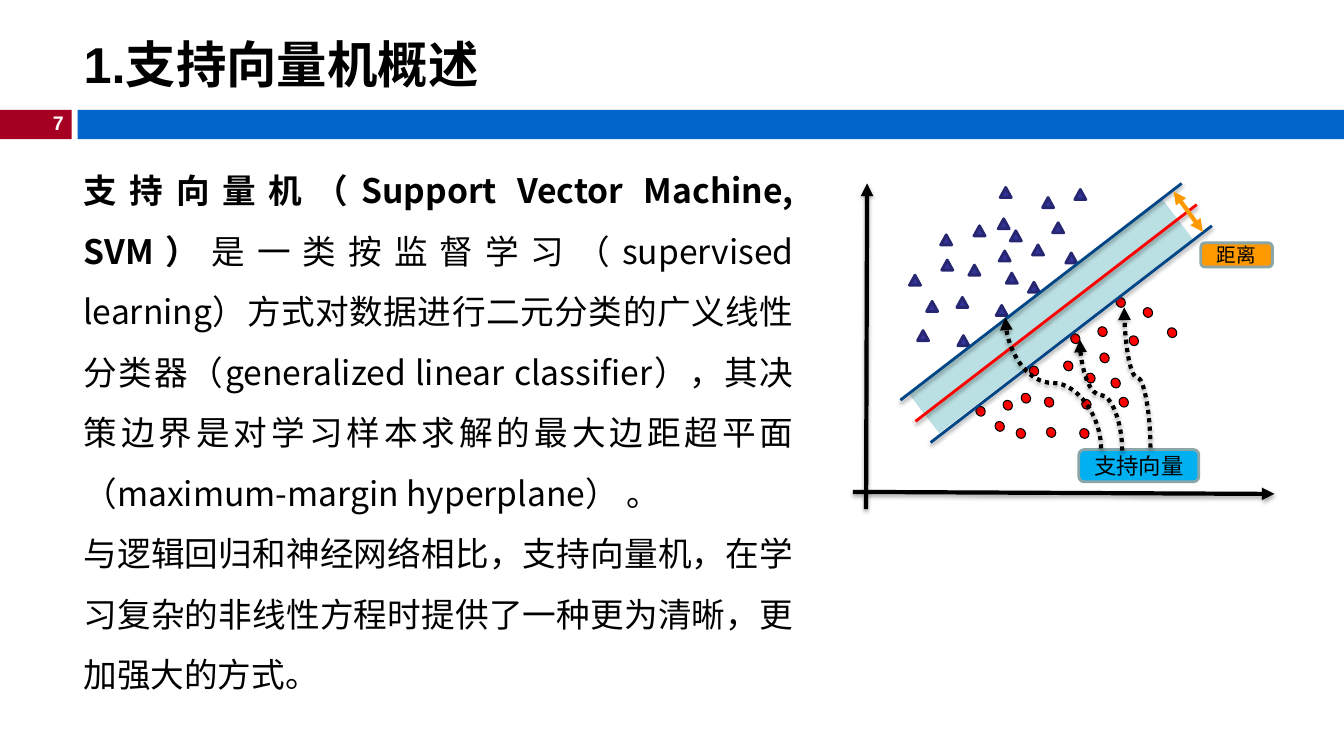
from lxml import etree
from pptx import Presentation
from pptx.dml.color import RGBColor
from pptx.enum import dml, shapes, text
from pptx.oxml import ns
from pptx.util import Inches, Pt

BLACK = RGBColor(0x00, 0x00, 0x00)
WHITE = RGBColor(0xFF, 0xFF, 0xFF)
CRIMSON = RGBColor(0xA5, 0x00, 0x21)
BLUE = RGBColor(0x00, 0x66, 0xCC)
SKY = RGBColor(0x00, 0xB0, 0xF0)
ORANGE = RGBColor(0xFF, 0x99, 0x00)
RED = RGBColor(0xFF, 0x00, 0x00)
PALE_TEAL = RGBColor(0xBB, 0xE0, 0xE3)
GREY_TEAL = RGBColor(0x8A, 0xA6, 0xA8)
INDIGO = RGBColor(0x33, 0x33, 0x99)
DARK_INDIGO = RGBColor(0x26, 0x26, 0x71)
NAVY = RGBColor(0x00, 0x45, 0x86)
LATIN_FONT, CHINESE_FONT = "Arial", "Noto Sans CJK SC"
SHAPE, LINK = shapes.MSO_SHAPE, shapes.MSO_CONNECTOR

DEFINITION = [
    ("支持向量机（Support Vector Machine, SVM）", True),
    ("是一类按监督学习（supervised learning）方式对数据进行二元分类的广义线性分类器"
     "（generalized linear classifier），其决策边界是对学习样本求解的最大边距超平面"
     "（maximum-margin hyperplane） 。", False),
]
ADVANTAGE = [("与逻辑回归和神经网络相比，支持向量机，在学习复杂的非线性方程时提供了一种更为清晰，"
              "更加强大的方式。", False)]

RED_POINTS = [
    (1.73, 2.1), (1.47, 2.38), (1.68, 2.45), (2.22, 1.51), (1.55, 2.17), (2.49, 1.44),
    (2.7, 2.14), (2.8, 1.53), (2.37, 1.9), (1.96, 2.14), (2.94, 1.25), (2.15, 1.78),
    (2.62, 1.95), (2.51, 1.7), (1.98, 2.44), (2.31, 2.45), (2.33, 2.16), (1.28, 2.23),
    (2.67, 1.15), (3.18, 1.45), (1.81, 1.83),
]
BLUE_POINTS = [
    (1.58, 0.91), (1.8, 1.0), (1.84, 0.63), (1.52, 0.06), (1.5, 0.37), (1.62, 0.49),
    (1.94, 0.16), (2.26, 0.08), (2.04, 0.41), (0.93, 0.53), (2.17, 0.71), (0.94, 0.78),
    (1.26, 0.44), (0.62, 0.93), (1.51, 0.69), (0.79, 1.19), (1.09, 1.15), (1.1, 1.53),
    (0.7, 1.48), (1.48, 1.23), (1.21, 0.83),
]
SUPPORT_LINKS = [
    ((3.01, 2.64), (2.75, 1.25)),
    ((2.52, 2.65), (1.57, 1.35)),
    ((2.73, 2.67), (2.31, 1.57)),
]


def style_font(paragraph, name, size, color, bold=None):
    """Format the font of a whole paragraph."""
    font = paragraph.font
    font.name, font.size, font.bold = name, Pt(size), bold
    font.color.rgb = color


def add_block(parent, kind, box, fill, line=None, width=2.0, angle=0):
    """Add a flat preset shape in box (left, top, width, height)."""
    block = parent.add_shape(kind, *map(Inches, box))
    block.shadow.inherit = False
    block.fill.solid()
    block.fill.fore_color.rgb = fill
    if line is None:
        block.line.fill.background()
    else:
        block.line.color.rgb = line
        block.line.width = Pt(width)
    block.rotation = angle
    return block


def add_label(parent, box, caption, size, fill):
    """Add a rounded label with a centred caption."""
    label = add_block(parent, SHAPE.ROUNDED_RECTANGLE, box, fill, GREY_TEAL)
    frame = label.text_frame
    frame.margin_left = frame.margin_right = frame.margin_top = frame.margin_bottom = 0
    frame.vertical_anchor = text.MSO_ANCHOR.MIDDLE
    caption_line = frame.paragraphs[0]
    caption_line.text = caption
    caption_line.alignment = text.PP_ALIGN.CENTER
    style_font(caption_line, CHINESE_FONT, size, BLACK)


def add_line(parent, start, end, color, width, ends=(), shadow=None, kind=LINK.STRAIGHT):
    """Add a connector with arrowheads at the named ends and a (percent, distance) shadow."""
    line = parent.add_connector(kind, *map(Inches, start + end))
    line.line.color.rgb = color
    line.line.width = Pt(width)
    outline = line.line._get_or_add_ln()
    for end_name in ends:
        etree.SubElement(outline, ns.qn("a:" + end_name), type="triangle")
    effects = etree.SubElement(line._element.spPr, ns.qn("a:effectLst"))
    if shadow:
        percent, distance = shadow
        outer = etree.SubElement(effects, ns.qn("a:outerShdw"), blurRad=str(Pt(3.1)),
                                 dist=str(Pt(distance)), dir="5400000", rotWithShape="0")
        tint = etree.SubElement(outer, ns.qn("a:srgbClr"), val=str(BLACK))
        etree.SubElement(tint, ns.qn("a:alpha"), val=str(percent * 1000))
    return line


def add_support_link(parent, start, tip):
    """Add a dotted curve that leaves start upwards and reaches tip upwards."""
    (x1, y1), (x2, y2) = start, tip
    middle_x, middle_y = (x1 + x2) / 2, (y1 + y2) / 2
    half_rise, half_shift = (y1 - y2) / 2, (x1 - x2) / 2
    link = add_line(parent, (middle_x - half_rise, middle_y + half_shift),
                    (middle_x + half_rise, middle_y - half_shift), BLACK, 3,
                    ["tailEnd"], (38, 1.6), LINK.CURVE)
    link.line.dash_style = dml.MSO_LINE.ROUND_DOT
    link._element.spPr.find(ns.qn("a:xfrm")).set("rot", str(270 * 60000))


def build_header(slide, left, top, width):
    """Place the title, the colour bar and the page number."""
    heading = slide.shapes.title
    heading.left, heading.top = Inches(left + 0.73), Inches(top + 0.26)
    heading.width, heading.height = Inches(width - 0.73), Inches(0.74)
    heading.text_frame.vertical_anchor = text.MSO_ANCHOR.MIDDLE
    heading_line = heading.text_frame.paragraphs[0]
    heading_line.text = "1.支持向量机概述"
    heading_line.alignment = text.PP_ALIGN.LEFT
    style_font(heading_line, LATIN_FONT, 36, BLACK, True)

    add_block(slide.shapes, SHAPE.RECTANGLE, (left, top + 1.09, 0.71, 0.29), CRIMSON)
    add_block(slide.shapes, SHAPE.RECTANGLE, (left + 0.77, top + 1.09, width - 0.77, 0.29), BLUE)
    page = slide.shapes.add_textbox(*map(Inches, (left + 0.29, top + 1.05, 0.44, 0.34)))
    page.text_frame.word_wrap = True
    page_line = page.text_frame.paragraphs[0]
    page_line.text = "7"
    page_line.alignment = text.PP_ALIGN.RIGHT
    style_font(page_line, LATIN_FONT, 14, WHITE, True)


def build_explanation(slide, box):
    """Place the two justified paragraphs in box."""
    frame = slide.shapes.add_textbox(*map(Inches, box)).text_frame
    frame.word_wrap = True
    for index, pieces in enumerate([DEFINITION, ADVANTAGE]):
        paragraph = frame.add_paragraph() if index else frame.paragraphs[0]
        paragraph.alignment = text.PP_ALIGN.JUSTIFY
        paragraph.line_spacing = 1.5
        style_font(paragraph, CHINESE_FONT, 24, BLACK)
        for words, bold in pieces:
            run = paragraph.add_run()
            run.text = words
            run.font.bold = bold


def build_diagram(slide, left, top):
    """Draw the two classes, the margin band and its support vectors."""
    def at(x, y):
        return left + x, top + y

    group = slide.shapes.add_group_shape().shapes
    add_label(group, at(2.3, 2.66) + (1.19, 0.32), "支持向量", 16, SKY)
    add_block(group, SHAPE.RECTANGLE, at(0.42, 1.07) + (3.2, 0.53), PALE_TEAL, WHITE, angle=322.5)
    for origin, tip in [((0.06, 3.08), (4.24, 3.1)), ((0.19, 3.25), (0.2, 0.02))]:
        add_line(group, at(*origin), at(*tip), BLACK, 3, ["tailEnd"], (35, 1.8))
    for point in RED_POINTS:
        add_block(group, SHAPE.OVAL, at(*point) + (0.09, 0.1), RED, BLACK, 0.75, 148.9)
    for point in BLUE_POINTS:
        add_block(group, SHAPE.ISOSCELES_TRIANGLE, at(*point) + (0.11, 0.1), INDIGO, DARK_INDIGO)
    for step, color in enumerate([NAVY, RED, NAVY]):
        x, y = 0.53 + 0.15 * step, 2.17 + 0.21 * step
        add_line(group, at(x, y), at(x + 2.79, y - 2.15), color, 2, shadow=(38, 1.6))
    for start, tip in SUPPORT_LINKS:
        add_support_link(group, at(*start), at(*tip))
    add_line(group, at(3.24, 0.1), at(3.53, 0.5), ORANGE, 3, ["headEnd", "tailEnd"])
    add_label(group, at(3.51, 0.61) + (0.71, 0.24), "距离", 14, ORANGE)


def main():
    """Build the slide and save it."""
    deck = Presentation()
    deck.slide_width, deck.slide_height = Inches(13.33), Inches(7.5)
    slide = deck.slides.add_slide(deck.slide_layouts[5])
    build_header(slide, 0, 0, 13.33)
    build_explanation(slide, (0.73, 1.44, 7.24, 5.48))
    build_diagram(slide, 8.4, 1.8)
    deck.save("out.pptx")


if __name__ == "__main__":
    main()
